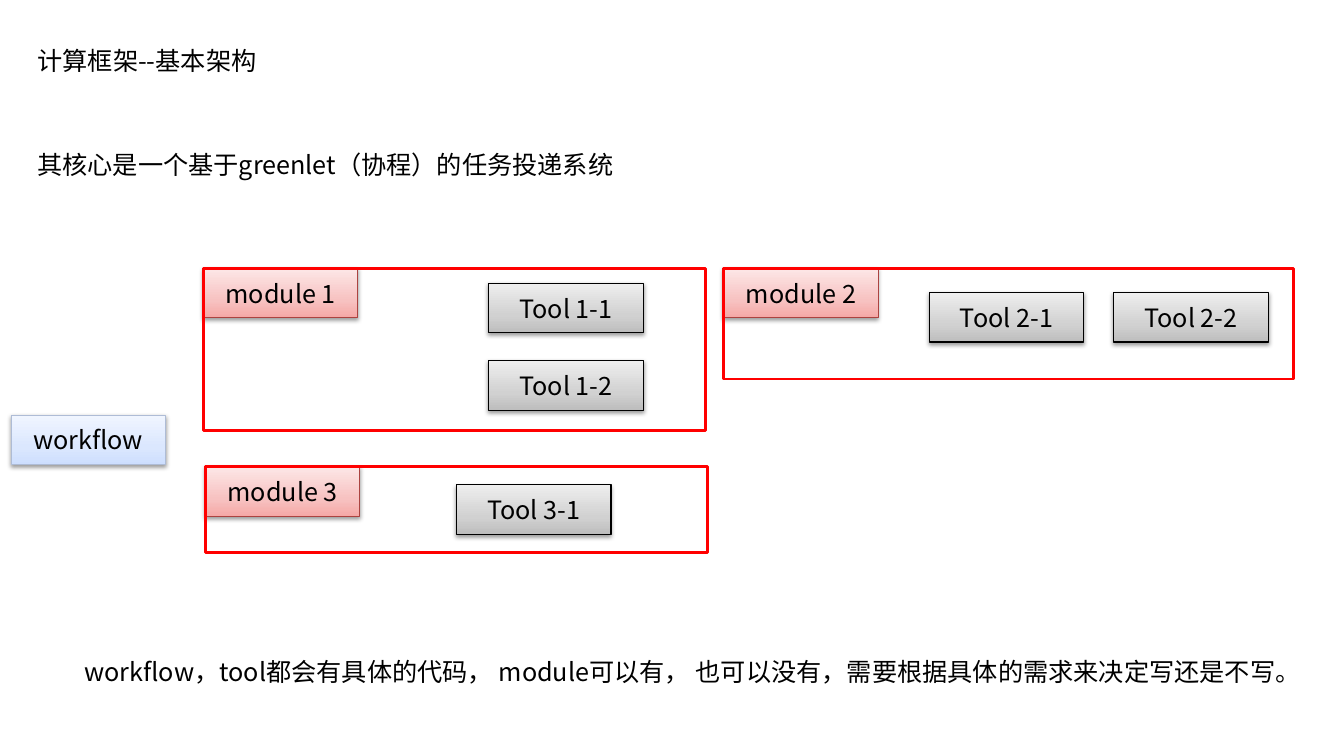
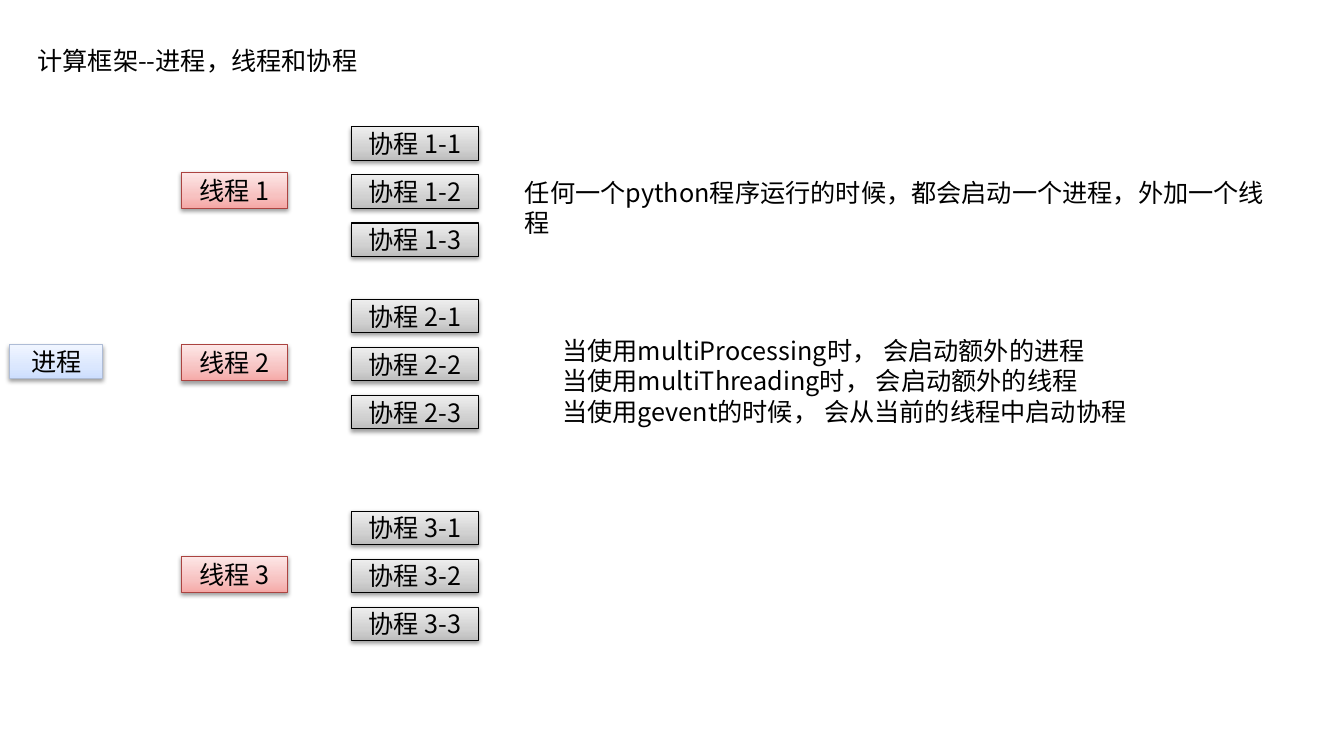
from lxml import etree
from pptx import Presentation
from pptx.dml.color import RGBColor
from pptx.enum.shapes import MSO_SHAPE
from pptx.enum.text import MSO_ANCHOR, MSO_AUTO_SIZE, PP_ALIGN
from pptx.oxml.ns import qn
from pptx.util import Cm, Pt

RECT = MSO_SHAPE.RECTANGLE
TOP, MIDDLE = MSO_ANCHOR.TOP, MSO_ANCHOR.MIDDLE
LEFT, CENTER = PP_ALIGN.LEFT, PP_ALIGN.CENTER
FIXED = MSO_AUTO_SIZE.NONE

FONT = "Noto Sans CJK SC"
SIZE = 18
COLORS = {
    "text": "000000",
    "frame": "FF0000",
    "blue": ("CDDEFE", "DBE7FE", "F0F5FF"),
    "blue line": "AEBCD6",
    "red": ("F5A8A6", "F7C2C1", "FDE7E7"),
    "red line": "AB4340",
    "gray": ("BDBDBD", "D1D1D1", "EEEEEE"),
    "gray line": "000000",
}
STOPS = (0, 35000, 100000)

LABEL = (3.89, 1.25)
MODULES = [
    ("module 1", (5.13, 6.76, 12.65, 4.09),
     [("Tool 1-1", 12.32, 7.14), ("Tool 1-2", 12.32, 9.09)]),
    ("module 2", (18.24, 6.76, 14.35, 2.79),
     [("Tool 2-1", 23.42, 7.37), ("Tool 2-2", 28.07, 7.37)]),
    ("module 3", (5.18, 11.76, 12.65, 2.16),
     [("Tool 3-1", 11.51, 12.22)]),
]
THREADS = (4.34, 8.69, 14.02)
RISE, STEP = 1.14, 1.21


def color(name):
    return RGBColor.from_string(COLORS[name])


def write(frame, lines, align=LEFT, anchor=TOP):
    frame.word_wrap = True
    frame.auto_size = FIXED
    frame.vertical_anchor = anchor
    for i, line in enumerate(lines):
        para = frame.add_paragraph() if i else frame.paragraphs[0]
        para.alignment = align
        run = para.add_run()
        run.text = line
        run.font.size = Pt(SIZE)
        run.font.name = FONT
        run.font.color.rgb = color("text")
        etree.SubElement(run.font._element, qn("a:ea"), typeface=FONT)


def shade(shape, tones):
    shape.fill.gradient()
    shape.fill.gradient_angle = 90
    stops = shape._element.spPr.find(".//" + qn("a:gsLst"))
    for stop in list(stops):
        stops.remove(stop)
    for place, tone in zip(STOPS, tones):
        stop = etree.SubElement(stops, qn("a:gs"), pos=str(place))
        etree.SubElement(stop, qn("a:srgbClr"), val=tone)


def drop(shape):
    shape.shadow.inherit = False
    effects = shape._element.spPr.find(qn("a:effectLst"))
    outer = etree.SubElement(effects, qn("a:outerShdw"), blurRad="40000",
                             dist="20000", dir="5400000", rotWithShape="0")
    tint = etree.SubElement(outer, qn("a:srgbClr"), val=COLORS["text"])
    etree.SubElement(tint, qn("a:alpha"), val="38000")


def add_box(shapes, text, tone, x, y, size):
    box = shapes.add_shape(RECT, Cm(x), Cm(y), *map(Cm, size))
    shade(box, COLORS[tone])
    box.line.color.rgb = color(tone + " line")
    box.line.width = Pt(0.75)
    drop(box)
    write(box.text_frame, [text], CENTER, MIDDLE)


def add_frame(shapes, area):
    frame = shapes.add_shape(RECT, *map(Cm, area))
    frame.shadow.inherit = False
    frame.fill.background()
    frame.line.color.rgb = color("frame")
    frame.line.width = Pt(2)


def add_module(slide, name, area, tools):
    shapes = slide.shapes.add_group_shape().shapes
    add_box(shapes, name, "red", area[0], area[1], LABEL)
    for tool, x, y in tools:
        add_box(shapes, tool, "gray", x, y, LABEL)
    add_frame(shapes, area)


def add_text(slide, lines, x, y, width, height=1.02):
    box = slide.shapes.add_textbox(Cm(x), Cm(y), Cm(width), Cm(height))
    write(box.text_frame, lines)


def add_slide(deck, text, width):
    slide = deck.slides.add_slide(deck.slide_layouts[5])
    title = slide.shapes.title
    title.left, title.top = Cm(0.69), Cm(1.02)
    title.width, title.height = Cm(width), Cm(1.02)
    write(title.text_frame, [text])
    return slide


def draw_basis(deck):
    slide = add_slide(deck, "计算框架--基本架构", 6.27)
    add_text(slide, ["其核心是一个基于greenlet（协程）的任务投递系统"],
             0.69, 3.63, 15.27)
    add_box(slide.shapes, "workflow", "blue", 0.28, 10.46, LABEL)
    for module in MODULES:
        add_module(slide, *module)
    add_text(slide, ["workflow，tool都会有具体的代码， module可以有， "
                     "也可以没有，需要根据具体的需求来决定写还是不写。"],
             1.88, 16.41, 31.29)


def draw_threads(deck):
    slide = add_slide(deck, "计算框架--进程，线程和协程", 8.84)
    add_box(slide.shapes, "进程", "blue", 0.25, 8.69, (2.34, 0.84))
    for i, y in enumerate(THREADS, 1):
        add_box(slide.shapes, f"线程 {i}", "red", 4.57, y, (2.67, 0.91))
        for j in range(3):
            add_box(slide.shapes, f"协程 {i}-{j + 1}", "gray",
                    8.86, y - RISE + j * STEP, (3.2, 0.84))
    add_text(slide, ["任何一个python程序运行的时候，都会启动一个进程，外加一个线程"],
             12.98, 4.34, 19.76)
    add_text(slide, ["当使用multiProcessing时， 会启动额外的进程",
                     "当使用multiThreading时， 会启动额外的线程",
                     "当使用gevent的时候， 会从当前的线程中启动协程"],
             13.92, 8.33, 16.18, 4.11)


def main():
    deck = Presentation()
    deck.slide_width, deck.slide_height = Cm(33.87), Cm(19.05)
    draw_basis(deck)
    draw_threads(deck)
    deck.save("out.pptx")


if __name__ == "__main__":
    main()
